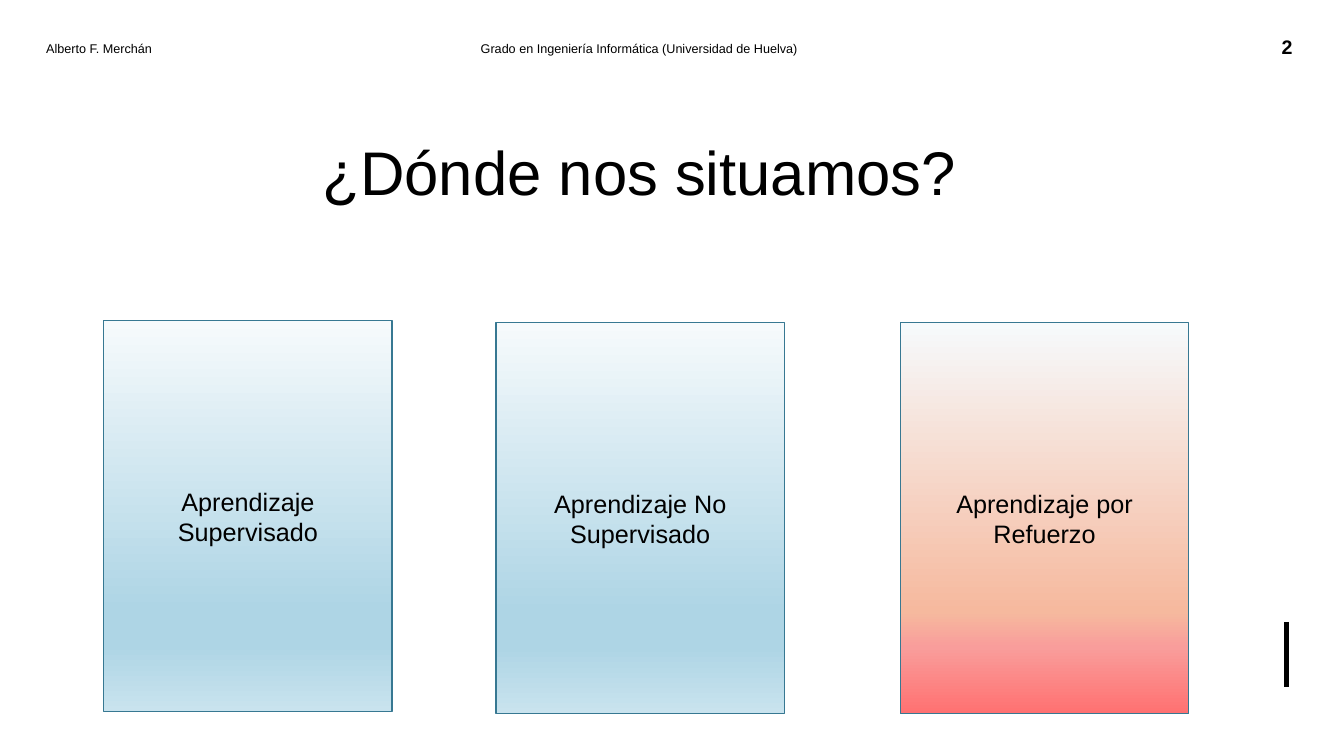
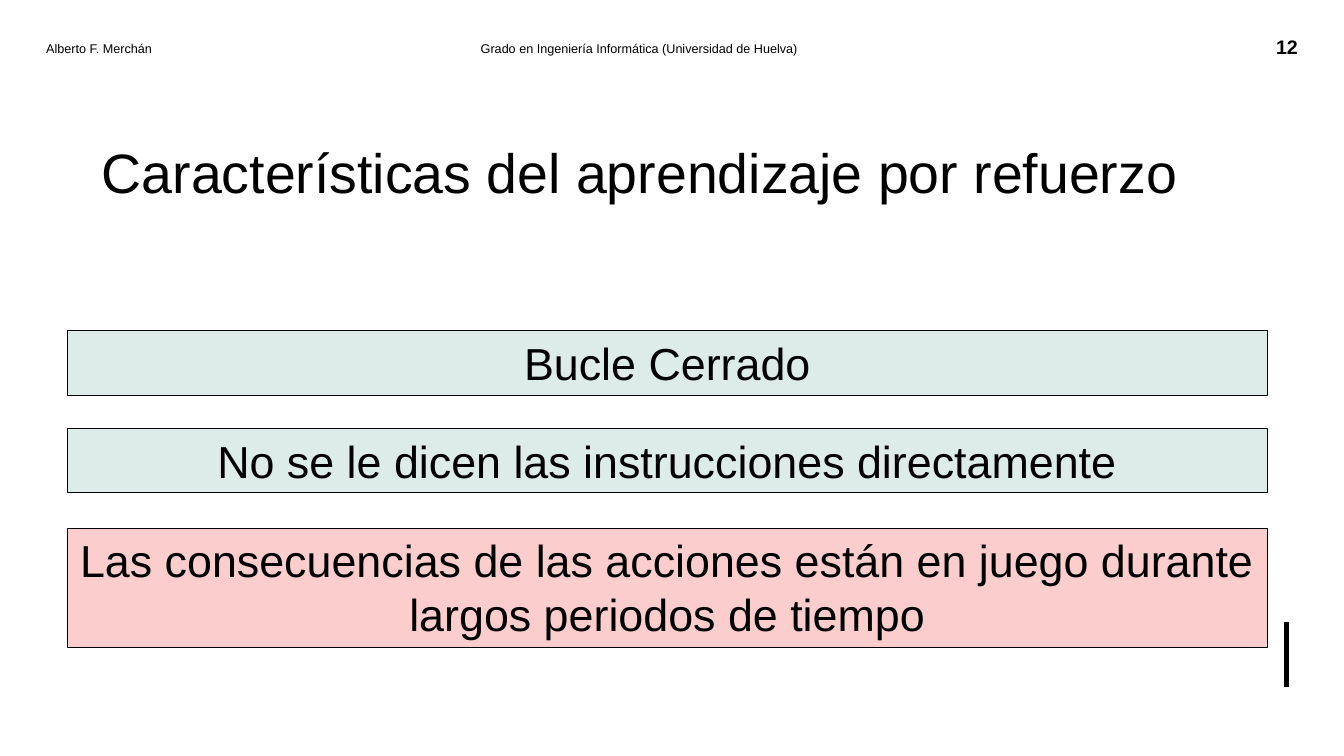
from lxml.etree import SubElement
from pptx import Presentation
from pptx.dml.color import RGBColor
from pptx.enum.shapes import MSO_CONNECTOR, MSO_SHAPE
from pptx.enum.text import MSO_ANCHOR, MSO_AUTO_SIZE, PP_ALIGN
from pptx.oxml.ns import qn
from pptx.util import Pt

SCALE = 9144  # EMU per px, 100 px to the inch
WIDTH, HEIGHT = 1333, 750
FONT = "Arial"

BLACK = RGBColor(0x00, 0x00, 0x00)
WHITE = RGBColor(0xFF, 0xFF, 0xFF)
TEAL = RGBColor(0x37, 0x78, 0x92)
MINT = RGBColor(0xBC, 0xD9, 0xD5)
ROSE = RGBColor(0xF9, 0x9D, 0x9B)
PALE = RGBColor(0xF6, 0xFA, 0xFC)
SKY = RGBColor(0xAE, 0xD5, 0xE5)
ICE = RGBColor(0xC9, 0xE3, 0xEE)
PEACH = RGBColor(0xF6, 0xB9, 0x9E)
RED = RGBColor(0xFF, 0x71, 0x71)

# Gradient stops: percent and colour, top to bottom
BLUES = [(0, PALE), (74, SKY), (83, SKY), (100, ICE)]
WARMS = [(0, PALE), (74, PEACH), (83, ROSE), (100, RED)]

AUTHOR = "Alberto F. Merchán"
COURSE = "Grado en Ingeniería Informática (Universidad de Huelva)"


def px(*sizes):
    return [size * SCALE for size in sizes]


def write(frame, text, size=18, bold=False, align=PP_ALIGN.CENTER,
          anchor=MSO_ANCHOR.MIDDLE, fit=MSO_AUTO_SIZE.NONE, tab=None):
    frame.word_wrap = True
    frame.auto_size = fit
    frame.vertical_anchor = anchor
    para = frame.paragraphs[0]
    para.alignment = align
    if tab:
        stops = SubElement(para._p.get_or_add_pPr(), qn("a:tabLst"))
        SubElement(stops, qn("a:tab"), pos=str(tab * SCALE), algn="l")
    run = para.add_run()
    run.text = text
    font = run.font
    font.name, font.size, font.bold = FONT, Pt(size), bold
    font.color.rgb = BLACK


class Deck:
    def __init__(self):
        self.file = Presentation()
        self.file.slide_width, self.file.slide_height = px(WIDTH, HEIGHT)
        self.slide = None

    def page(self, title, number, size=44):
        """Start a slide with its title, header and side rule."""
        self.slide = self.file.slides.add_slide(self.file.slide_layouts[5])
        back = self.slide.background.fill
        back.solid()
        back.fore_color.rgb = WHITE
        self.rule(1276, 617, 682)
        head = self.slide.shapes.title
        head.left, head.top, head.width, head.height = px(67, 91, 1135, 157)
        write(head.text_frame, title, size=size)
        self.label(f"{AUTHOR}\t{COURSE}", 36, 28, 1198, 40,
                   size=9, align=PP_ALIGN.LEFT, tab=431)
        self.label(str(number), 1235, 26, 83, 40, size=14, bold=True)

    def rule(self, x, top, end):
        line = self.slide.shapes.add_connector(
            MSO_CONNECTOR.STRAIGHT, *px(x, top, x, end))
        line.line.color.rgb = BLACK
        line.line.width = Pt(3)
        SubElement(line._element.spPr, qn("a:effectLst"))

    def label(self, text, x, y, w, h, **style):
        box = self.slide.shapes.add_textbox(*px(x, y, w, h))
        write(box.text_frame, text, **style)

    def box(self, text, x, y, w, h, edge, width, **style):
        shape = self.slide.shapes.add_shape(
            MSO_SHAPE.RECTANGLE, *px(x, y, w, h))
        shape.shadow.inherit = False
        shape.line.color.rgb = edge
        shape.line.width = Pt(width)
        write(shape.text_frame, text, **style)
        return shape

    def card(self, text, x, y, stops):
        """Tall box with a vertical gradient."""
        shape = self.box(text, x, y, 286, 388, TEAL, 1)
        shape.fill.gradient()
        shape.fill.gradient_angle = 270
        ramp = next(shape._element.spPr.iter(qn("a:gsLst")))
        for old in list(ramp):
            ramp.remove(old)
        for part, color in stops:
            stop = SubElement(ramp, qn("a:gs"), pos=str(part * 1000))
            SubElement(stop, qn("a:srgbClr"), val=str(color))

    def bar(self, text, y, h, color):
        """Wide box with a half-transparent fill."""
        shape = self.box(text, 67, y, 1190, h, BLACK, 0.75, size=32,
                         anchor=MSO_ANCHOR.TOP,
                         fit=MSO_AUTO_SIZE.SHAPE_TO_FIT_TEXT)
        shape.fill.solid()
        shape.fill.fore_color.rgb = color
        tint = shape._element.spPr.find(qn("a:solidFill"))[0]
        SubElement(tint, qn("a:alpha"), val="50000")


def main():
    deck = Deck()

    # Kinds of learning
    deck.page("¿Dónde nos situamos?", 2)
    deck.card("Aprendizaje Supervisado", 103, 318, BLUES)
    deck.card("Aprendizaje No Supervisado", 492, 320, BLUES)
    deck.card("Aprendizaje por Refuerzo", 893, 320, WARMS)

    # Traits of reinforcement learning
    deck.page("Características del aprendizaje por refuerzo", 12, size=39.6)
    deck.bar("Bucle Cerrado", 328, 64, MINT)
    deck.bar("No se le dicen las instrucciones directamente", 425, 64, MINT)
    deck.bar("Las consecuencias de las acciones están en juego durante "
             "largos periodos de tiempo", 524, 118, ROSE)

    deck.file.save("out.pptx")


if __name__ == "__main__":
    main()
